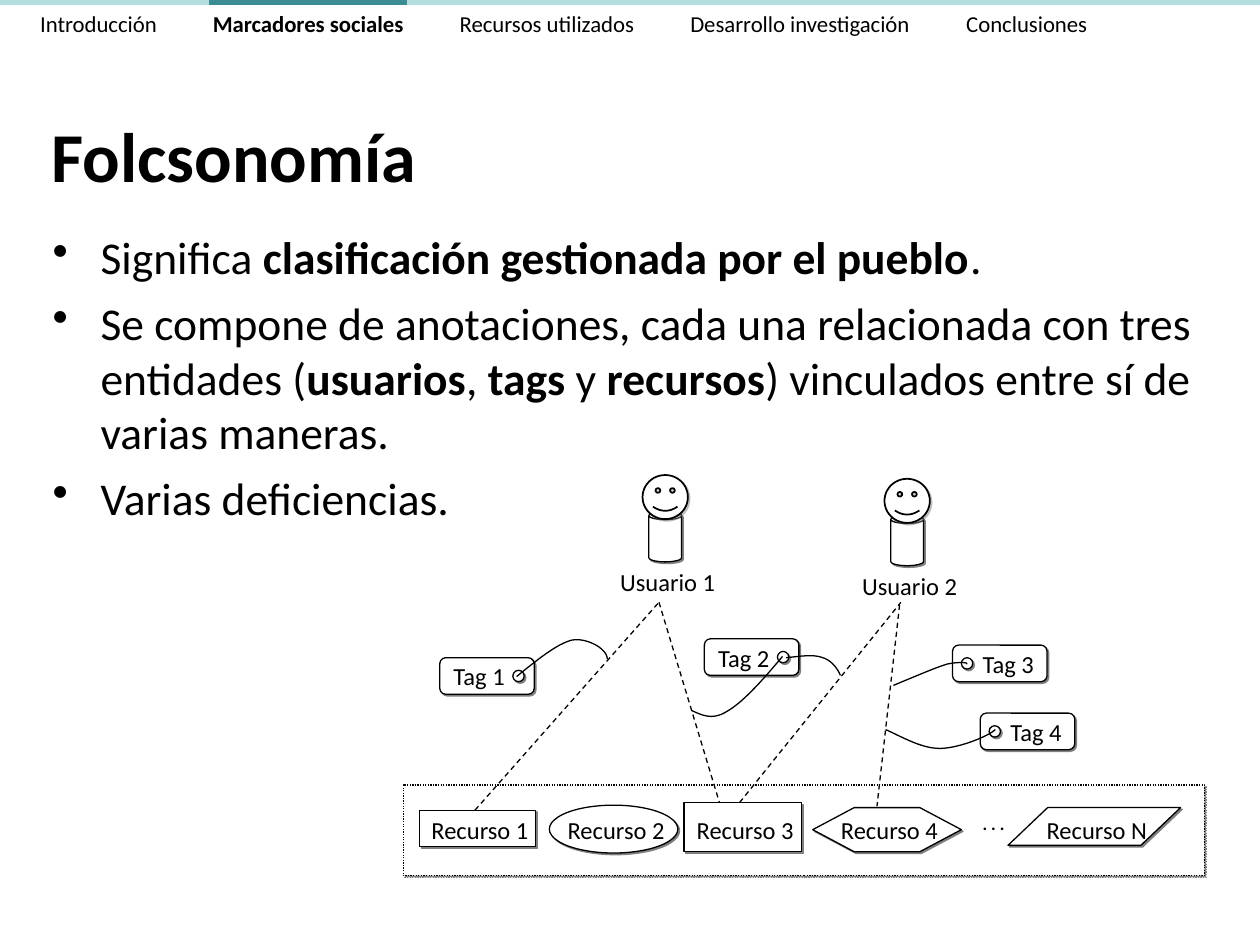
from dataclasses import dataclass
from lxml.etree import SubElement
from pptx import Presentation
from pptx.dml.color import RGBColor
from pptx.enum.dml import MSO_LINE
from pptx.enum.shapes import MSO_CONNECTOR, MSO_SHAPE
from pptx.enum.text import MSO_ANCHOR, PP_ALIGN
from pptx.oxml.ns import qn
from pptx.util import Inches, Pt


@dataclass
class Theme:
    font: str = "Calibri"
    ink: str = "000000"
    paper: str = "FFFFFF"
    shade: str = "808080"
    bar: str = "B5DEE1"
    mark: str = "3C8C93"
    title: int = 40
    body: int = 26
    label: int = 14
    menu: int = 13
    dots: int = 10
    thin: float = 0.75


class Deck:
    def __init__(self, theme):
        self.theme = theme
        self.file = Presentation()
        self.file.slide_width, self.file.slide_height = Inches(10), Inches(7.5)
        self.slide = self.file.slides.add_slide(self.file.slide_layouts[5])
        self.shapes = self.slide.shapes

    def runs(self, para, parts, size):
        for text, bold in parts:
            run = para.add_run()
            run.text = text
            font = run.font
            font.name, font.size, font.bold = self.theme.font, Pt(size), bold
            font.color.rgb = RGBColor.from_string(self.theme.ink)

    def title(self, text, *box):
        head = self.shapes.title
        head.left, head.top, head.width, head.height = map(Inches, box)
        head.text_frame.vertical_anchor = MSO_ANCHOR.MIDDLE
        para = head.text_frame.paragraphs[0]
        para.alignment = PP_ALIGN.LEFT
        self.runs(para, [(text, True)], self.theme.title)

    def frame(self, *box):
        frame = self.shapes.add_textbox(*map(Inches, box)).text_frame
        frame.word_wrap = True
        return frame

    def label(self, text, *box, align=PP_ALIGN.CENTER, size=None, bold=False):
        para = self.frame(*box).paragraphs[0]
        para.alignment = align
        self.runs(para, [(text, bold)], size or self.theme.label)

    def menu(self, parts, stops, *box):
        para = self.frame(*box).paragraphs[0]
        tabs = SubElement(para._p.get_or_add_pPr(), qn("a:tabLst"))
        for stop in stops:
            SubElement(tabs, qn("a:tab"), pos=str(Inches(stop)), algn="l")
        self.runs(para, parts, self.theme.menu)

    def bullets(self, items, *box):
        frame = self.frame(*box)
        for i, parts in enumerate(items):
            para = frame.add_paragraph() if i else frame.paragraphs[0]
            if i:
                para.space_before = Pt(6.5)
            props = para._p.get_or_add_pPr()
            props.set("marL", str(Inches(0.38)))
            props.set("indent", str(Inches(-0.38)))
            SubElement(props, qn("a:buChar"), char="•")
            self.runs(para, parts, self.theme.body)

    def band(self, color, *box):
        band = self.shapes.add_shape(MSO_SHAPE.RECTANGLE, *map(Inches, box))
        band.shadow.inherit = False
        band.fill.solid()
        band.fill.fore_color.rgb = RGBColor.from_string(color)
        band.line.fill.background()

    def stroke(self, line, width=None, dash=None):
        line.color.rgb = RGBColor.from_string(self.theme.ink)
        line.width = Pt(width or self.theme.thin)
        if dash:
            line.dash_style = dash

    def shape(self, kind, *box, adj=None, width=None, dash=None, alpha=100):
        item = self.shapes.add_shape(kind, *map(Inches, box))
        if adj is not None:
            item.adjustments[0] = adj
        item.fill.solid()
        item.fill.fore_color.rgb = RGBColor.from_string(self.theme.paper)
        self.stroke(item.line, width, dash)
        # Hard shadow towards the lower right
        item.shadow.inherit = False
        effects = item._element.spPr.find(qn("a:effectLst"))
        cast = SubElement(effects, qn("a:outerShdw"), blurRad="0", dist=str(Pt(1.4)),
                          dir="2700000", algn="ctr", rotWithShape="0")
        tone = SubElement(cast, qn("a:srgbClr"), val=self.theme.shade)
        SubElement(tone, qn("a:alpha"), val=str(alpha * 1000))

    def link(self, *ends):
        line = self.shapes.add_connector(MSO_CONNECTOR.STRAIGHT, *map(Inches, ends))
        self.stroke(line.line, dash=MSO_LINE.DASH)
        SubElement(line._element.spPr, qn("a:effectLst"))

    def curve(self, start, *parts, steps=12):
        """Draw joined cubic curves; each part is two controls and an end."""
        points, last = [], start
        for part in parts:
            knots = (last, *part)
            for step in range(1, steps + 1):
                t = step / steps
                mix = ((1 - t) ** 3, 3 * t * (1 - t) ** 2, 3 * t * t * (1 - t), t ** 3)
                points.append(tuple(Inches(sum(m * k[axis] for m, k in zip(mix, knots)))
                                    for axis in (0, 1)))
            last = part[-1]
        path = self.shapes.build_freeform(*map(Inches, start))
        path.add_line_segments(points, close=False)
        item = path.convert_to_shape()
        item.shadow.inherit = False
        item.fill.background()
        self.stroke(item.line)

    def tag(self, text, x, y, flip=False):
        hole, words = (0.07, 0.14) if flip else (0.58, 0.01)
        self.shape(MSO_SHAPE.ROUNDED_RECTANGLE, x, y, 0.75, 0.29)
        self.shape(MSO_SHAPE.OVAL, x + hole, y + 0.1, 0.09, 0.09)
        self.label(text, x + words, y - 0.02, 0.65, 0.32, align=PP_ALIGN.LEFT)

    def user(self, text, x, y):
        self.shape(MSO_SHAPE.CAN, x + 0.05, y + 0.29, 0.26, 0.4, adj=0.25)
        self.shape(MSO_SHAPE.SMILEY_FACE, x, y, 0.36, 0.35, adj=0.09, width=1, alpha=50)
        self.label(text, x - 0.33, y + 0.68, 1.06, 0.33)


def main():
    theme = Theme()
    deck = Deck(theme)

    # Title and main points
    deck.title("Folcsonomía", 0.31, 0.86, 9.61, 0.74)
    deck.bullets([
        [("Significa ", False), ("clasificación gestionada por el pueblo", True),
         (".", False)],
        [("Se compone de anotaciones, cada una relacionada con tres entidades (", False),
         ("usuarios", True), (", ", False), ("tags ", True), ("y ", False),
         ("recursos", True), (") vinculados entre sí de varias maneras.", False)],
        [("Varias deficiencias.", False)],
    ], 0.32, 1.77, 9.37, 2.6)

    # Resources in their frame
    deck.shape(MSO_SHAPE.RECTANGLE, 3.2, 6.23, 6.36, 0.72, dash=MSO_LINE.ROUND_DOT)
    for name, kind, x, y, wide, high, adj in (
        ("1", MSO_SHAPE.RECTANGLE, 3.33, 6.43, 0.92, 0.29, None),
        ("2", MSO_SHAPE.OVAL, 4.36, 6.39, 1.02, 0.38, None),
        ("3", MSO_SHAPE.RECTANGLE, 5.43, 6.37, 0.93, 0.39, None),
        ("4", MSO_SHAPE.HEXAGON, 6.45, 6.41, 1.18, 0.35, 0.94),
        ("N", MSO_SHAPE.PARALLELOGRAM, 8, 6.41, 1.37, 0.3, 1.05),
    ):
        deck.shape(kind, x, y, wide, high, adj=adj)
        deck.label(f"Recurso {name}", x + wide / 2 - 0.53, 6.42, 1.1, 0.35)
    deck.label(". . .", 7.7, 6.4, 0.41, 0.4, align=PP_ALIGN.LEFT,
               size=theme.dots, bold=True)

    # Links from users to resources
    for ends in ((3.77, 6.43, 5.23, 4.78), (5.23, 4.78, 5.71, 6.37),
                 (5.87, 6.37, 7.15, 4.78), (7.14, 4.8, 6.96, 6.4)):
        deck.link(*ends)

    # Tags and the curves that tie them to the links
    deck.tag("Tag 1", 3.49, 5.22)
    deck.tag("Tag 2", 5.59, 5.07)
    deck.tag("Tag 3", 7.56, 5.12, flip=True)
    deck.tag("Tag 4", 7.78, 5.66, flip=True)
    deck.curve((4.1, 5.37), ((4.26, 5.24), (4.42, 5.11), (4.54, 5.08)),
               ((4.66, 5.06), (4.82, 5.15), (4.82, 5.23)))
    deck.curve((6.21, 5.21), ((6.06, 5.39), (5.9, 5.57), (5.78, 5.64)),
               ((5.66, 5.72), (5.58, 5.68), (5.49, 5.64)))
    deck.curve((6.24, 5.22), ((6.35, 5.21), (6.45, 5.19), (6.53, 5.22)),
               ((6.6, 5.24), (6.65, 5.31), (6.67, 5.36)))
    deck.curve((7.09, 5.44), ((7.26, 5.37), (7.42, 5.3), (7.52, 5.27)),
               ((7.62, 5.25), (7.69, 5.26), (7.67, 5.27)))
    deck.curve((7.03, 5.79), ((7.18, 5.86), (7.32, 5.94), (7.46, 5.94)),
               ((7.61, 5.94), (7.85, 5.84), (7.9, 5.79)))

    # Users
    deck.user("Usuario 1", 5.1, 3.77)
    deck.user("Usuario 2", 7.02, 3.8)

    # Section menu with the current section marked
    deck.band(theme.bar, 0, 0, 10, 0.04)
    deck.menu([("Introducción\t", False), ("Marcadores sociales\t", True),
               ("Recursos utilizados\tDesarrollo investigación\tConclusiones", False)],
              (1.37, 3.33, 5.16, 7.35), 0.22, 0.03, 9.65, 0.32)
    deck.band(theme.mark, 1.66, 0, 1.57, 0.04)

    deck.file.save("out.pptx")


if __name__ == "__main__":
    main()
